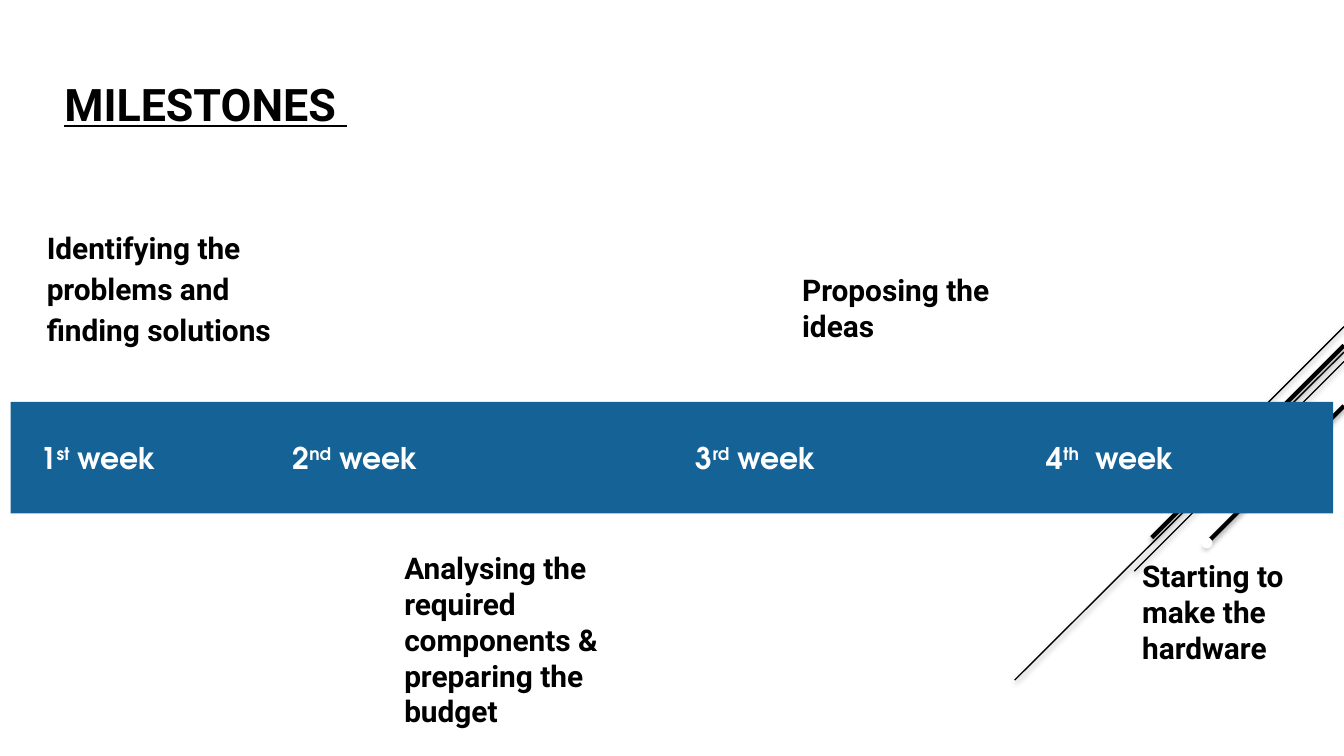
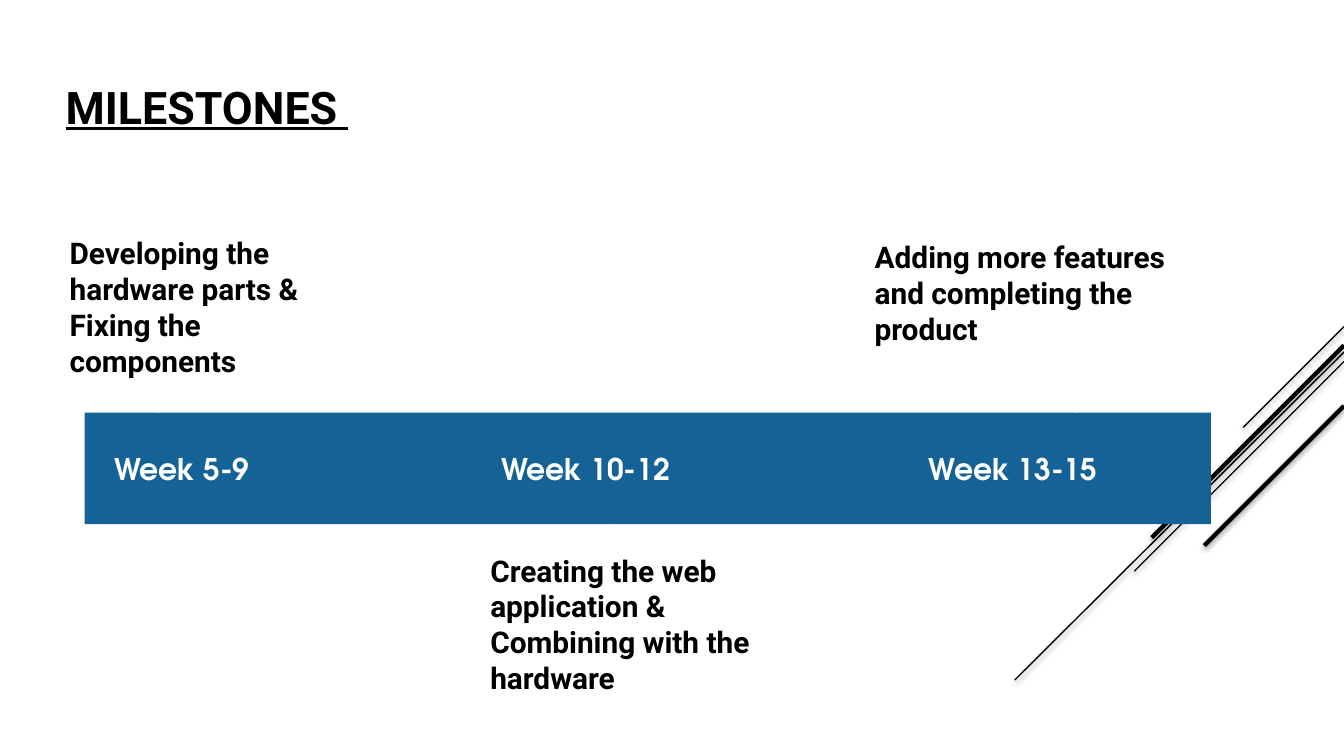
import pptx
import pptx.util
import pptx.dml.color
import pptx.enum.shapes
import pptx.enum.text
import pptx.oxml
import pptx.oxml.ns

PX = 9144  # EMU per px, 100 px to the inch
BLACK, WHITE, BLUE = "000000", "FFFFFF", "156297"
HEAD = dict(name="Roboto", size=pptx.util.Pt(24), bold=True, underline=True)
BODY = dict(name="Roboto", size=pptx.util.Pt(16), bold=True)
WEEK = dict(name="TeX Gyre Adventor", size=pptx.util.Pt(16), bold=True)

# Diagonal lines at the right edge: top y, left end x, left end y, width
DIAGONALS = [
    (243, 925, 318, 0.75),
    (262, 755, 506, 0.75),
    (269, 844, 425, 0.75),
    (257, 857, 400, 2.25),
    (302, 896, 406, 2.25),
]
SHADOW = (
    '<a:outerShdw blurRad="39370" dist="20320" dir="5400000" rotWithShape="0">'
    '<a:srgbClr val="000000"><a:alpha val="38000"/></a:srgbClr></a:outerShdw>'
)


def px(n):
    return pptx.util.Emu(n * PX)


def color(value):
    return pptx.dml.color.RGBColor.from_string(value)


def xml(tag, content="", **attrs):
    ns = pptx.oxml.ns.nsdecls("a")
    pairs = "".join(f' {k}="{v}"' for k, v in attrs.items())
    return pptx.oxml.parse_xml(f"<a:{tag} {ns}{pairs}>{content}</a:{tag}>")


class Deck:
    def __init__(self):
        self.prs = pptx.Presentation()
        self.prs.slide_width = px(1000)
        self.prs.slide_height = px(1000) * 9 // 16
        self.s = None

    def slide(self):
        self.s = self.prs.slides.add_slide(self.prs.slide_layouts[6])
        for top, x, y, width in DIAGONALS:
            self.line(1000, top, x, y, BLACK, width, SHADOW)

    def line(self, x1, y1, x2, y2, rgb, width, effects=""):
        kind = pptx.enum.shapes.MSO_CONNECTOR.STRAIGHT
        c = self.s.shapes.add_connector(kind, px(x1), px(y1), px(x2), px(y2))
        c.line.color.rgb = color(rgb)
        c.line.width = pptx.util.Pt(width)
        c._element.spPr.append(xml("effectLst", effects))
        return c

    def stem(self, x1, y1, x2, y2):
        c = self.line(x1, y1, x2, y2, WHITE, 0.75)
        c.line._get_or_add_ln().append(xml("tailEnd", type="oval"))

    def frame(self, sp, pad):
        tf = sp.text_frame
        settings = dict(word_wrap=True, margin_left=px(10), margin_right=px(10),
                        margin_top=px(pad), margin_bottom=px(pad))
        for key, value in settings.items():
            setattr(tf, key, value)
        return tf

    def run(self, p, text, style, rgb):
        r = p.add_run()
        r.text = text
        for key, value in style.items():
            setattr(r.font, key, value)
        r.font.color.rgb = color(rgb)
        return r

    def text(self, box, text, style=BODY, pad=5, spacing=None):
        tf = self.frame(self.s.shapes.add_textbox(*map(px, box)), pad)
        p = tf.paragraphs[0]
        p.line_spacing = spacing
        self.run(p, text, style, BLACK)
        return p

    def title(self, box, pad=5):
        p = self.text(box, "MILESTONES", HEAD, pad)
        self.run(p, " ", dict(HEAD, italic=True), BLACK)

    def band(self, box, weeks):
        """Blue bar; weeks holds (tab stop, text, superscript, rest)."""
        sp = self.s.shapes.add_shape(
            pptx.enum.shapes.MSO_SHAPE.RECTANGLE, *map(px, box))
        sp.shadow.inherit = False
        sp.fill.solid()
        sp.fill.fore_color.rgb = color(BLUE)
        sp.line.fill.background()
        tf = self.frame(sp, 5)
        tf.vertical_anchor = pptx.enum.text.MSO_ANCHOR.MIDDLE
        p = tf.paragraphs[0]
        p.alignment = pptx.enum.text.PP_ALIGN.LEFT
        tabs = "".join(f'<a:tab pos="{px(w[0])}" algn="l"/>' for w in weeks)
        p._p.get_or_add_pPr().append(xml("tabLst", tabs))
        for _, text, raised, rest in weeks:
            self.run(p, "\t" + text, WEEK, WHITE)
            if raised:
                r = self.run(p, raised, WEEK, WHITE)
                r._r.get_or_add_rPr().set("baseline", "30000")
                self.run(p, rest, WEEK, WHITE)


def main():
    d = Deck()

    # Weeks 1 to 4
    d.slide()
    d.title((38, 47, 932, 66), pad=10)
    d.text((25, 157, 210, 130), "Identifying the problems and finding solutions",
           pad=10, spacing=1.15)
    d.stem(635, 311, 637, 236)
    d.stem(898, 387, 898, 404)
    for box, text in [
        ((291, 399, 224, 92), "Analysing the required components & preparing the budget"),
        ((587, 192, 176, 78), "Proposing the ideas"),
        ((840, 405, 144, 101), "Starting to make the hardware"),
    ]:
        d.text(box, text, pad=10)
    d.stem(87, 304, 87, 266)
    d.band((8, 299, 984, 83), [
        (12, "1", "st", " week"),
        (200, "2", "nd", " week"),
        (500, "3", "rd", " week"),
        (761, "4", "th", "  week"),
    ])

    # Weeks 5 to 15
    d.slide()
    d.title((39, 54, 271, 49))
    d.band((63, 307, 838, 83), [
        (12, "Week 5-9", "", ""),
        (300, "Week 10-12", "", ""),
        (618, "Week 13-15", "", ""),
    ])
    for ends in [(118, 307, 118, 257), (457, 390, 457, 415), (801, 307, 803, 232)]:
        d.stem(*ends)
    for box, text in [
        ((42, 170, 196, 99), "Developing the hardware parts & Fixing the components"),
        ((355, 406, 220, 123), "Creating the web application & Combining with the hardware"),
        ((641, 173, 260, 118), "Adding more features and completing the product"),
    ]:
        d.text(box, text)

    d.prs.save("out.pptx")


if __name__ == "__main__":
    main()
